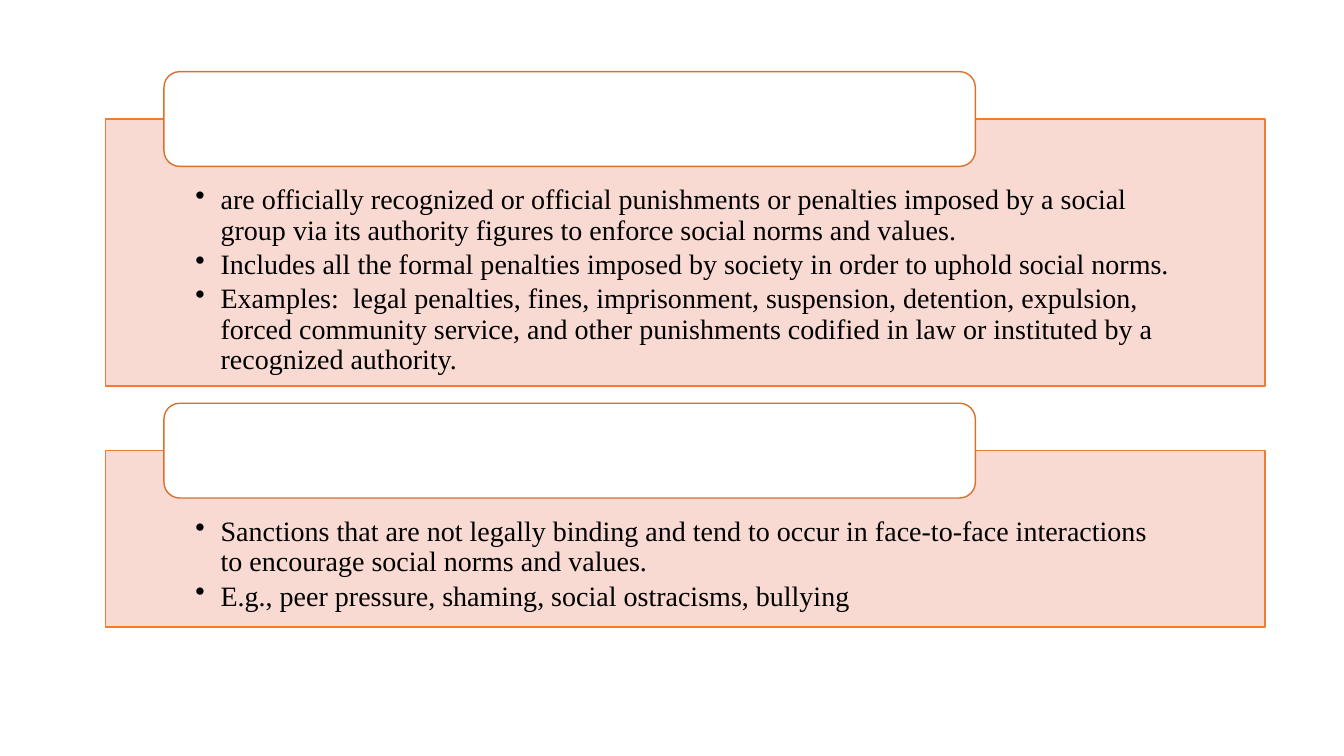
from dataclasses import dataclass

from lxml.etree import SubElement
from pptx import Presentation
from pptx.dml.color import RGBColor
from pptx.enum.shapes import MSO_SHAPE
from pptx.enum.text import MSO_ANCHOR, PP_ALIGN
from pptx.oxml.ns import qn
from pptx.shapes.autoshape import Shape
from pptx.slide import Slide
from pptx.util import Pt

COLORS = {"panel": "F8D7CE", "edge": "ED7D31", "tab": "FFFFFF", "rim": "D7712C", "text": "000000"}
LEFT, WIDTH = 75.6, 828
TAB_LEFT, TAB_WIDTH, TAB_HEIGHT = 117.1, 579.6, 67.7
TOP, GAP = 51.2, 12.2


@dataclass
class Panel:
    """A tinted panel with its bullet points."""

    height: float
    points: list[str]


PANELS = [
    Panel(190.8, [
        "are officially recognized or official punishments or penalties imposed by a social "
        "group via its authority figures to enforce social norms and values.",
        "Includes all the formal penalties imposed by society in order to uphold social norms.",
        "Examples:  legal penalties, fines, imprisonment, suspension, detention, expulsion, "
        "forced community service, and other punishments codified in law or instituted by a "
        "recognized authority.",
    ]),
    Panel(126, [
        "Sanctions that are not legally binding and tend to occur in face-to-face interactions "
        "to encourage social norms and values.",
        "E.g., peer pressure, shaming, social ostracisms, bullying",
    ]),
]


def add_box(slide: Slide, kind: MSO_SHAPE, left: float, top: float, width: float,
            height: float, fill: str, line: str) -> Shape:
    """Draw a filled, outlined shape without a shadow."""
    box = slide.shapes.add_shape(kind, Pt(left), Pt(top), Pt(width), Pt(height))
    box.shadow.inherit = False
    box.fill.solid()
    box.fill.fore_color.rgb = RGBColor.from_string(COLORS[fill])
    box.line.color.rgb = RGBColor.from_string(COLORS[line])
    box.line.width = Pt(1)
    return box


def fade(box: Shape, share: int) -> None:
    """Set the opacity of a solid fill in percent."""
    color = box.fill._xPr.find(qn("a:solidFill"))[0]
    SubElement(color, qn("a:alpha"), val=str(share * 1000))


def add_text(box: Shape, points: list[str], *, size: float = 20,
             font: str = "Times New Roman", color: str = "text", indent: float = 18) -> None:
    """Fill a box with bulleted paragraphs."""
    frame = box.text_frame
    frame.word_wrap = True
    frame.vertical_anchor = MSO_ANCHOR.TOP
    frame.margin_left = frame.margin_right = Pt(64)
    frame.margin_top, frame.margin_bottom = Pt(47.5), Pt(11.5)
    for num, point in enumerate(points):
        para = frame.paragraphs[0] if num == 0 else frame.add_paragraph()
        para.text = point
        para.alignment = PP_ALIGN.LEFT
        para.line_spacing = 0.9
        para.space_after = Pt(3)
        props = para._p.get_or_add_pPr()
        props.set("marL", str(Pt(indent)))
        props.set("indent", str(-Pt(indent)))
        SubElement(props, qn("a:buChar"), char="•")
        para.font.size = Pt(size)
        para.font.name = font
        para.font.color.rgb = RGBColor.from_string(COLORS[color])


def main() -> None:
    """Build the slide and save it."""
    deck = Presentation()
    deck.slide_width, deck.slide_height = Pt(960), Pt(540)
    slide = deck.slides.add_slide(deck.slide_layouts[6])
    top = TOP
    for panel in PANELS:
        start = top + TAB_HEIGHT / 2
        box = add_box(slide, MSO_SHAPE.RECTANGLE, LEFT, start, WIDTH, panel.height,
                      "panel", "edge")
        fade(box, 90)
        add_text(box, panel.points)
        add_box(slide, MSO_SHAPE.ROUNDED_RECTANGLE, TAB_LEFT, top, TAB_WIDTH, TAB_HEIGHT,
                "tab", "rim")
        top = start + panel.height + GAP
    deck.save("out.pptx")


if __name__ == "__main__":
    main()
